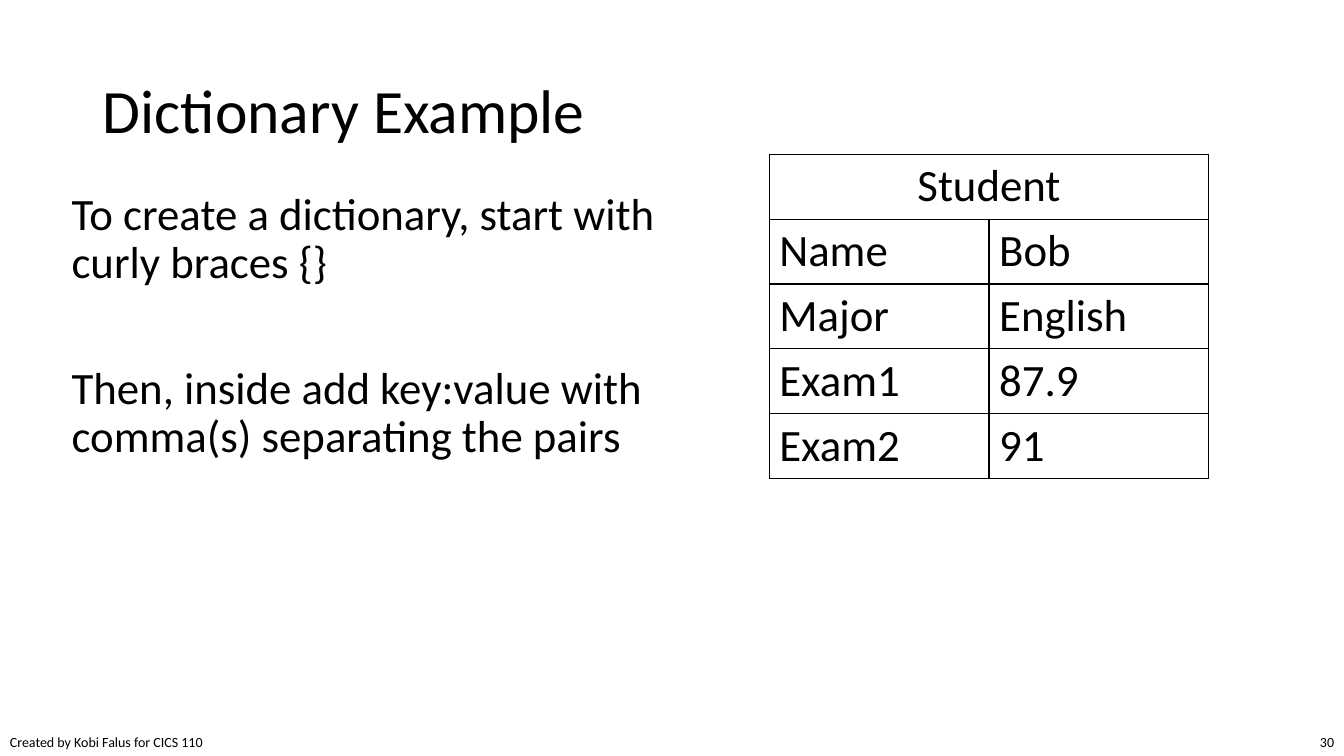
import pptx
import pptx.dml.color
import pptx.enum.text
import pptx.oxml
import pptx.oxml.ns
import pptx.util
from pptx.util import Inches

BLACK = pptx.dml.color.RGBColor(0x00, 0x00, 0x00)
ALIGN = pptx.enum.text.PP_ALIGN
ANCHOR = pptx.enum.text.MSO_ANCHOR

STUDENT = [("Name", "Bob"), ("Major", "English"), ("Exam1", "87.9"), ("Exam2", "91")]


def write(p, text, size=32, align=ALIGN.LEFT, line=None, before=0, font="Calibri", color=BLACK):
    p.alignment = align
    p.space_before = pptx.util.Pt(before)
    if line:
        p.line_spacing = line
    r = p.add_run()
    r.text = text
    r.font.name = font
    r.font.size = pptx.util.Pt(size)
    r.font.color.rgb = color


def border(cell, color=BLACK, width=1):
    tcPr = cell._tc.get_or_add_tcPr()
    for side in "LRTB":
        tcPr.append(pptx.oxml.parse_xml(
            f'<a:ln{side} {pptx.oxml.ns.nsdecls("a")} w="{pptx.util.Pt(width)}">'
            f'<a:solidFill><a:srgbClr val="{color}"/></a:solidFill></a:ln{side}>'))


class Deck:
    """Holds the presentation, its text style and the current slide."""

    def __init__(self, width, height):
        self.prs = pptx.Presentation()
        self.prs.slide_width = Inches(width)
        self.prs.slide_height = Inches(height)
        self.s = self.prs.slides.add_slide(self.prs.slide_layouts[1])
        self.line = 0.9

    def place(self, sp, left, top, width, height, anchor):
        sp.left, sp.top = Inches(left), Inches(top)
        sp.width, sp.height = Inches(width), Inches(height)
        tf = sp.text_frame
        tf.word_wrap = True
        tf.auto_size = pptx.enum.text.MSO_AUTO_SIZE.NONE
        tf.vertical_anchor = anchor
        return tf

    def title(self, text, *box):
        tf = self.place(self.s.shapes.title, *box, ANCHOR.MIDDLE)
        write(tf.paragraphs[0], text, size=44, line=self.line)

    def body(self, texts, *box, gap):
        tf = self.place(self.s.placeholders[1], *box, ANCHOR.TOP)
        for i, text in enumerate(texts):
            p = tf.add_paragraph() if i else tf.paragraphs[0]
            pPr = p._p.get_or_add_pPr()
            pPr.set("marL", "0")
            pPr.set("indent", "0")
            pPr.append(pptx.oxml.parse_xml(f'<a:buNone {pptx.oxml.ns.nsdecls("a")}/>'))
            write(p, text, line=self.line, before=gap if i else 0)

    def footer(self, text, *box, align=ALIGN.LEFT):
        sp = self.s.shapes.add_textbox(0, 0, 0, 0)
        tf = self.place(sp, *box, ANCHOR.TOP)
        write(tf.paragraphs[0], text, size=10, align=align)

    def table(self, heading, rows, left, top, width, row_height):
        count = len(rows) + 1
        table = self.s.shapes.add_table(
            count, 2, Inches(left), Inches(top),
            Inches(width), Inches(row_height * count)).table
        table.first_row = table.horz_banding = False
        for row in table.rows:
            row.height = Inches(row_height)
        for cell in table.iter_cells():
            border(cell)
            cell.fill.background()
        table.cell(0, 0).merge(table.cell(0, 1))
        write(table.cell(0, 0).text_frame.paragraphs[0], heading, align=ALIGN.CENTER)
        for i, row in enumerate(rows, 1):
            for j, text in enumerate(row):
                write(table.cell(i, j).text_frame.paragraphs[0], text)


def main():
    deck = Deck(13.33, 7.5)
    deck.footer("Created by Kobi Falus for CICS 110", 0, 7.23, 2.15, 0.27)
    deck.footer("30", 12.78, 7.23, 0.55, 0.27, align=ALIGN.RIGHT)
    deck.title("Dictionary Example", 0.92, 0.4, 11.5, 1.45)
    deck.body(["To create a dictionary, start with curly braces {}",
               "Then, inside add key:value with comma(s) separating the pairs"],
              0.61, 1.85, 6.89, 4.76, gap=55)
    deck.table("Student", STUDENT, 7.63, 1.53, 4.36, 0.64)
    deck.prs.save("out.pptx")


if __name__ == "__main__":
    main()
